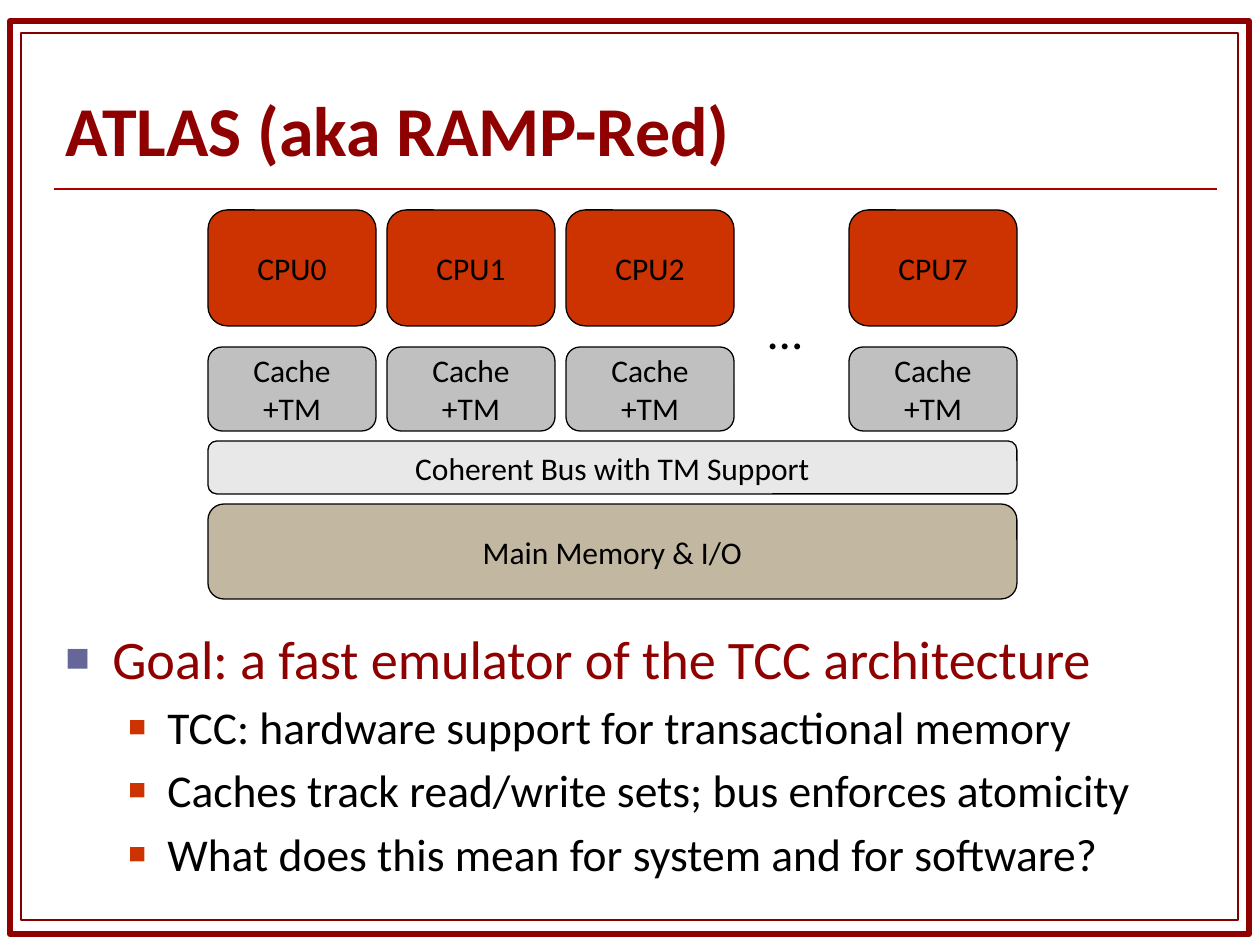
from lxml.etree import SubElement
from pptx import Presentation
from pptx.dml.color import RGBColor
from pptx.enum.shapes import MSO_CONNECTOR, MSO_SHAPE
from pptx.enum.text import MSO_ANCHOR, PP_ALIGN
from pptx.oxml.ns import qn
from pptx.util import Pt

PX = 914400 / 126
FONT = "Calibri"
WHITE = RGBColor(0xFF, 0xFF, 0xFF)
BLACK = RGBColor(0x00, 0x00, 0x00)
DARK_RED = RGBColor(0x8F, 0x00, 0x00)
INNER_RED = RGBColor(0x82, 0x00, 0x00)
RULE_RED = RGBColor(0xAC, 0x00, 0x00)
ORANGE = RGBColor(0xCC, 0x33, 0x00)
GRAY = RGBColor(0xC0, 0xC0, 0xC0)
LIGHT_GRAY = RGBColor(0xE8, 0xE8, 0xE8)
TAN = RGBColor(0xC2, 0xB7, 0xA1)
PURPLE = RGBColor(0x66, 0x66, 0x99)

DIAGRAM_LEFT, DIAGRAM_WIDTH = 208, 809
CORE_WIDTH, CORE_STEP = 168, 179
GOAL = "Goal: a fast emulator of the TCC architecture"
DETAILS = [
    "TCC: hardware support for transactional memory",
    "Caches track read/write sets; bus enforces atomicity",
    "What does this mean for system and for software?",
]


def px(*lengths):
    """Turn pixel lengths into EMU."""
    return [round(length * PX) for length in lengths]


def format_paragraph(paragraph, size, color, bold=False):
    """Set the font of every run in a paragraph."""
    for run in paragraph.runs:
        run.font.name = FONT
        run.font.size = Pt(size)
        run.font.bold = bold
        run.font.color.rgb = color


def add_box(shapes, kind, bounds, fill, line, width):
    """Add a filled and outlined shape without shadow."""
    shape = shapes.add_shape(kind, *px(*bounds))
    shape.shadow.inherit = False
    shape.fill.solid()
    shape.fill.fore_color.rgb = fill
    shape.line.color.rgb = line
    shape.line.width = Pt(width)
    return shape


def add_block(shapes, bounds, fill, text):
    """Add a labelled rounded block of the architecture diagram."""
    shape = add_box(shapes, MSO_SHAPE.ROUNDED_RECTANGLE, bounds, fill, BLACK, 0.75)
    frame = shape.text_frame
    frame.word_wrap = True
    frame.vertical_anchor = MSO_ANCHOR.MIDDLE
    frame.text = text
    frame.paragraphs[0].alignment = PP_ALIGN.CENTER
    format_paragraph(frame.paragraphs[0], 18, BLACK)


def add_text(shapes, bounds, text, size, color, bold=False, wrap=True):
    """Add a text box with one formatted paragraph."""
    frame = shapes.add_textbox(*px(*bounds)).text_frame
    frame.word_wrap = wrap
    frame.text = text
    format_paragraph(frame.paragraphs[0], size, color, bold)
    return frame


def add_rule(shapes, start, end):
    """Add the straight rule below the title."""
    rule = shapes.add_connector(MSO_CONNECTOR.STRAIGHT, *px(*start, *end))
    rule.line.color.rgb = RULE_RED
    rule.line.width = Pt(1.5)
    SubElement(rule._element.spPr, qn("a:effectLst"))


def set_bullet(paragraph, margin, hanging, color, percent, space):
    """Give a paragraph a coloured square bullet with a hanging indent."""
    paragraph.space_before = Pt(space)
    properties = paragraph._p.get_or_add_pPr()
    margin, hanging = px(margin, hanging)
    properties.set("marL", str(margin))
    properties.set("indent", str(-hanging))
    bullet_color = SubElement(properties, qn("a:buClr"))
    SubElement(bullet_color, qn("a:srgbClr"), val=str(color))
    SubElement(properties, qn("a:buSzPct"), val=str(percent * 1000))
    SubElement(properties, qn("a:buFont"), typeface="Arial")
    SubElement(properties, qn("a:buChar"), char="■")


def add_frame(shapes):
    """Add the double border of the slide."""
    add_box(shapes, MSO_SHAPE.RECTANGLE, (10, 21, 1239, 913), WHITE, DARK_RED, 3.5)
    add_box(shapes, MSO_SHAPE.RECTANGLE, (21, 33, 1217, 887), WHITE, INNER_RED, 0.75)


def add_diagram(shapes):
    """Add the processors, caches, bus and memory as one group."""
    blocks = shapes.add_group_shape().shapes
    add_block(blocks, (DIAGRAM_LEFT, 504, DIAGRAM_WIDTH, 95), TAN, "Main Memory & I/O")
    add_block(blocks, (DIAGRAM_LEFT, 441, DIAGRAM_WIDTH, 53), LIGHT_GRAY,
              "Coherent Bus with TM Support")
    core_lefts = {number: DIAGRAM_LEFT + number * CORE_STEP for number in range(3)}
    core_lefts[7] = DIAGRAM_LEFT + DIAGRAM_WIDTH - CORE_WIDTH
    for number, left in core_lefts.items():
        add_block(blocks, (left, 210, CORE_WIDTH, 116), ORANGE, f"CPU{number}")
        add_block(blocks, (left, 347, CORE_WIDTH, 84), GRAY, "Cache +TM")
    ellipsis = add_text(blocks, (755, 294, 60, 72), "…", 28, BLACK, wrap=False)
    ellipsis.paragraphs[0].alignment = PP_ALIGN.CENTER


def add_body(shapes):
    """Add the goal and its details."""
    frame = add_text(shapes, (53, 619, 1186, 287), GOAL, 31, DARK_RED)
    set_bullet(frame.paragraphs[0], 47, 47, PURPLE, 75, 6)
    for detail in DETAILS:
        paragraph = frame.add_paragraph()
        paragraph.text = detail
        paragraph.level = 1
        format_paragraph(paragraph, 26, BLACK)
        set_bullet(paragraph, 102, 39, ORANGE, 65, 5)


def main():
    """Build and save the slide."""
    presentation = Presentation()
    presentation.slide_width, presentation.slide_height = px(1260, 945)
    slide = presentation.slides.add_slide(presentation.slide_layouts[6])
    shapes = slide.shapes
    add_frame(shapes)
    add_rule(shapes, (54, 189), (1217, 189))
    title = add_text(shapes, (53, 97, 1071, 79), "ATLAS (aka RAMP-Red)", 40, DARK_RED, True)
    title.vertical_anchor = MSO_ANCHOR.BOTTOM
    title.paragraphs[0].line_spacing = 0.8
    add_body(shapes)
    add_diagram(shapes)
    presentation.save("out.pptx")


if __name__ == "__main__":
    main()
